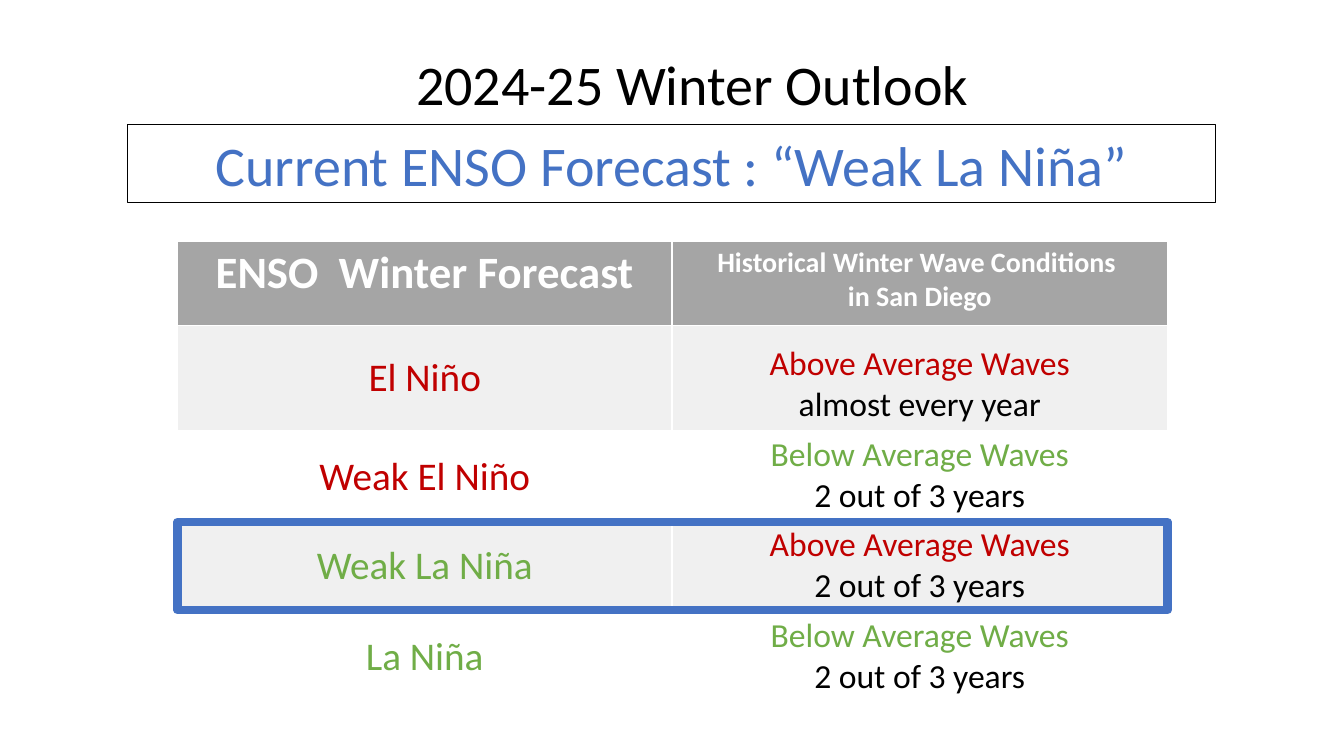
from dataclasses import dataclass

from lxml.etree import SubElement
from pptx import Presentation
from pptx.dml.color import RGBColor as Rgb
from pptx.enum.shapes import MSO_SHAPE as Preset
from pptx.enum.text import MSO_ANCHOR as Anchor, PP_ALIGN as Align
from pptx.oxml.ns import qn
from pptx.util import Emu, Pt

COLORS = {
    "black": "000000", "white": "FFFFFF", "blue": "4472C4", "red": "C00000",
    "green": "70AD47", "header": "A5A5A5", "band": "F0F0F0",
}
PX = 9525
MARGIN = 4  # space above and below cell text


def px(count: int) -> Emu:
    return Emu(count * PX)


def rgb(name: str) -> Rgb:
    return Rgb.from_string(COLORS[name])


@dataclass
class Line:
    text: str
    size: int
    color: str
    bold: bool = False
    align: Align = Align.CENTER


@dataclass
class Cell:
    lines: list[Line]
    top: int = MARGIN


@dataclass
class Row:
    height: int
    fill: str
    cells: list[Cell]


def forecast(name: str, color: str, top: int) -> Cell:
    return Cell([Line(name, 28, color)], top)


def waves(level: str, color: str, years: str, top: int = MARGIN) -> Cell:
    return Cell([Line(f"{level} Average Waves", 24, color), Line(years, 24, "black")], top)


def write(frame, lines: list[Line]) -> None:
    for index, line in enumerate(lines):
        para = frame.add_paragraph() if index else frame.paragraphs[0]
        para.alignment = line.align
        span = para.add_run()
        span.text = line.text
        formats = {"name": "Calibri", "size": Pt(line.size), "bold": line.bold}
        for name, value in formats.items():
            setattr(span.font, name, value)
        span.font.color.rgb = rgb(line.color)


def add_frame(page, place: tuple[int, ...], color: str, width: float):
    box = page.shapes.add_shape(Preset.RECTANGLE, *map(px, place))
    box.shadow.inherit = False
    box.fill.background()
    box.line.color.rgb = rgb(color)
    box.line.width = Pt(width)
    return box


def format_cell(cell, content: Cell, fill: str) -> None:
    formats = {"margin_top": px(content.top), "margin_bottom": px(MARGIN),
               "vertical_anchor": Anchor.TOP}
    for name, value in formats.items():
        setattr(cell, name, value)
    properties = cell._tc.get_or_add_tcPr()
    for side in ("a:lnL", "a:lnR", "a:lnT", "a:lnB"):
        border = SubElement(properties, qn(side), w=str(Pt(1)))
        solid = SubElement(border, qn("a:solidFill"))
        SubElement(solid, qn("a:srgbClr"), val=COLORS["white"])
    cell.fill.solid()
    cell.fill.fore_color.rgb = rgb(fill)
    write(cell.text_frame, content.lines)


def add_forecast_table(page, left: int, top: int, widths: list[int], rows: list[Row]) -> None:
    height = sum(row.height for row in rows)
    table = page.shapes.add_table(len(rows), len(widths),
                                  *map(px, (left, top, sum(widths), height))).table
    table.horz_banding = False
    for column, width in zip(table.columns, widths):
        column.width = px(width)
    for row_index, row in enumerate(rows):
        table.rows[row_index].height = px(row.height)
        for column_index, content in enumerate(row.cells):
            format_cell(table.cell(row_index, column_index), content, row.fill)


ROWS = [
    Row(80, "header", [
        Cell([Line("ENSO  Winter Forecast", 32, "white", True)]),
        Cell([Line("Historical Winter Wave Conditions ", 20, "white", True),
              Line("in San Diego", 20, "white", True)])]),
    Row(100, "band", [forecast("El Niño", "red", 27),
                      waves("Above", "red", "almost every year", 17)]),
    Row(86, "white", [forecast("Weak El Niño", "red", 22),
                      waves("Below", "green", "2 out of 3 years")]),
    Row(86, "band", [forecast("Weak La Niña", "green", 20),
                     waves("Above", "red", "2 out of 3 years")]),
    Row(86, "white", [forecast("La Niña", "green", 21),
                      waves("Below", "green", "2 out of 3 years")]),
]


def main() -> None:
    deck = Presentation()
    deck.slide_width, deck.slide_height = px(1280), px(720)
    page = deck.slides.add_slide(deck.slide_layouts[6])

    # Title and current forecast
    title = page.shapes.add_textbox(*map(px, (387, 42, 554, 74)))
    title.text_frame.word_wrap = True
    write(title.text_frame, [Line("2024-25 Winter Outlook", 40, "black", align=Align.LEFT)])
    banner = add_frame(page, (121, 119, 1037, 74), "black", 0.75)
    write(banner.text_frame, [Line("Current ENSO Forecast : “Weak La Niña”", 40, "blue")])

    # Wave history table
    add_forecast_table(page, 169, 230, [471, 472], ROWS)

    # Highlight around the current forecast row
    add_frame(page, (169, 497, 943, 84), "blue", 6)

    deck.save("out.pptx")


if __name__ == "__main__":
    main()
